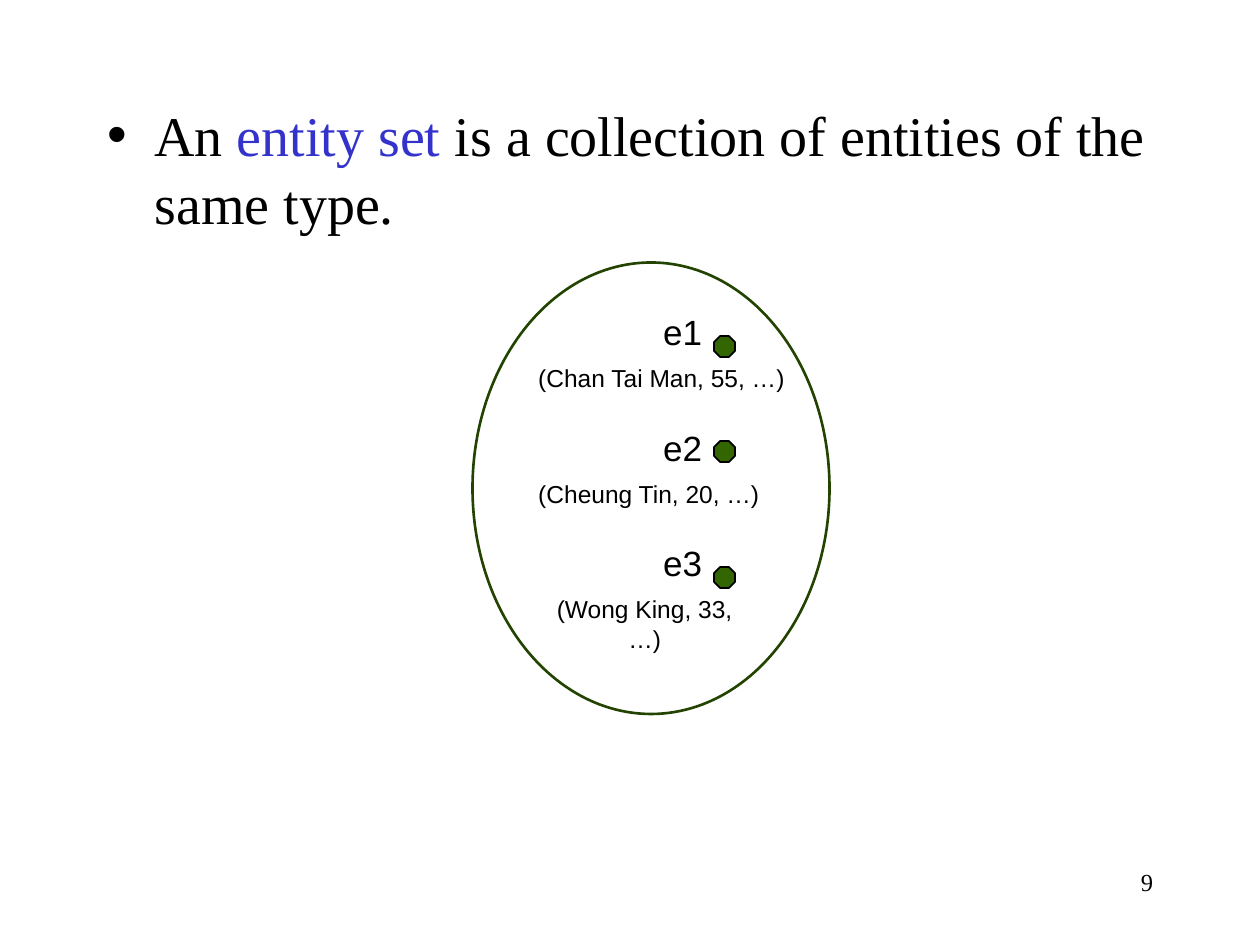
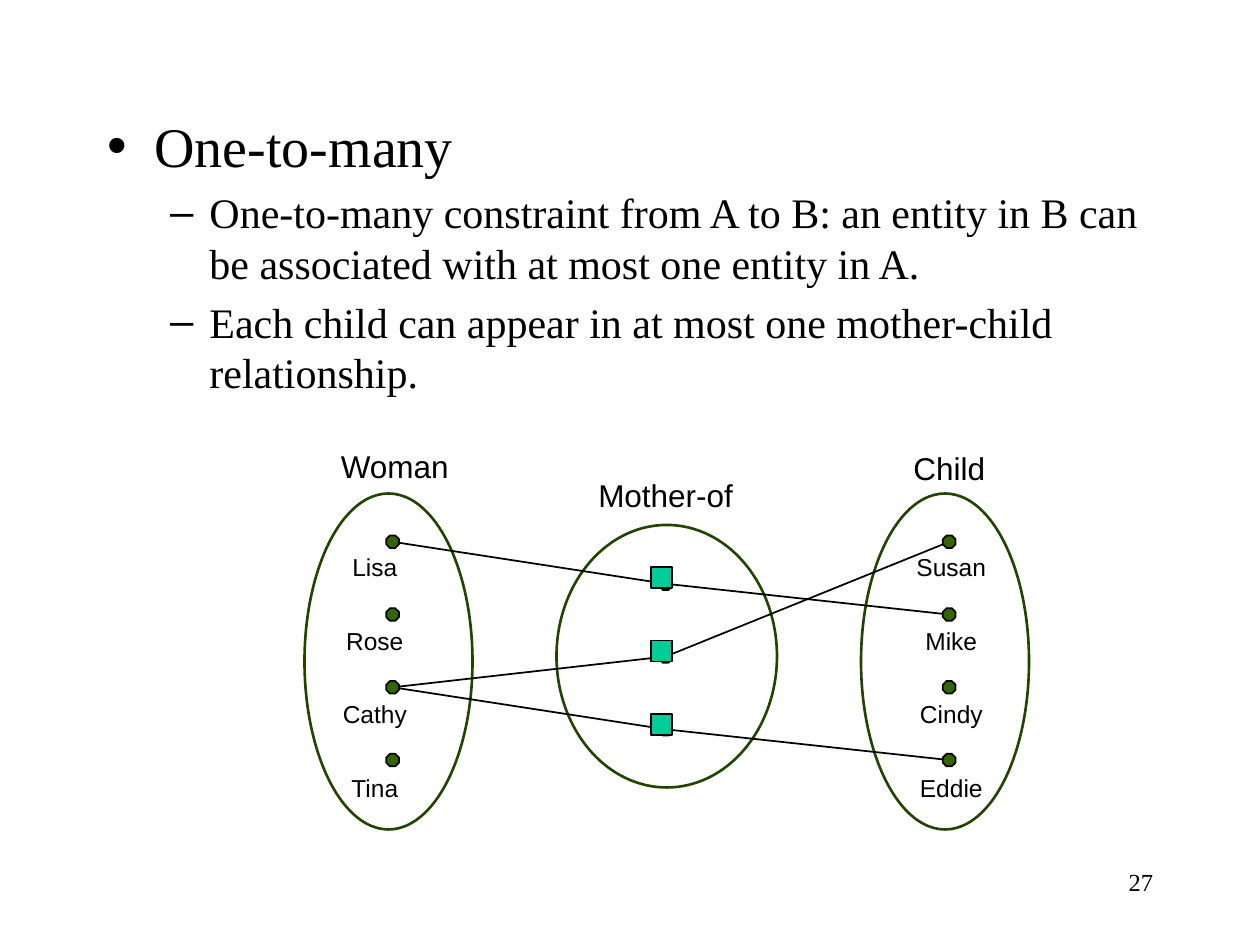
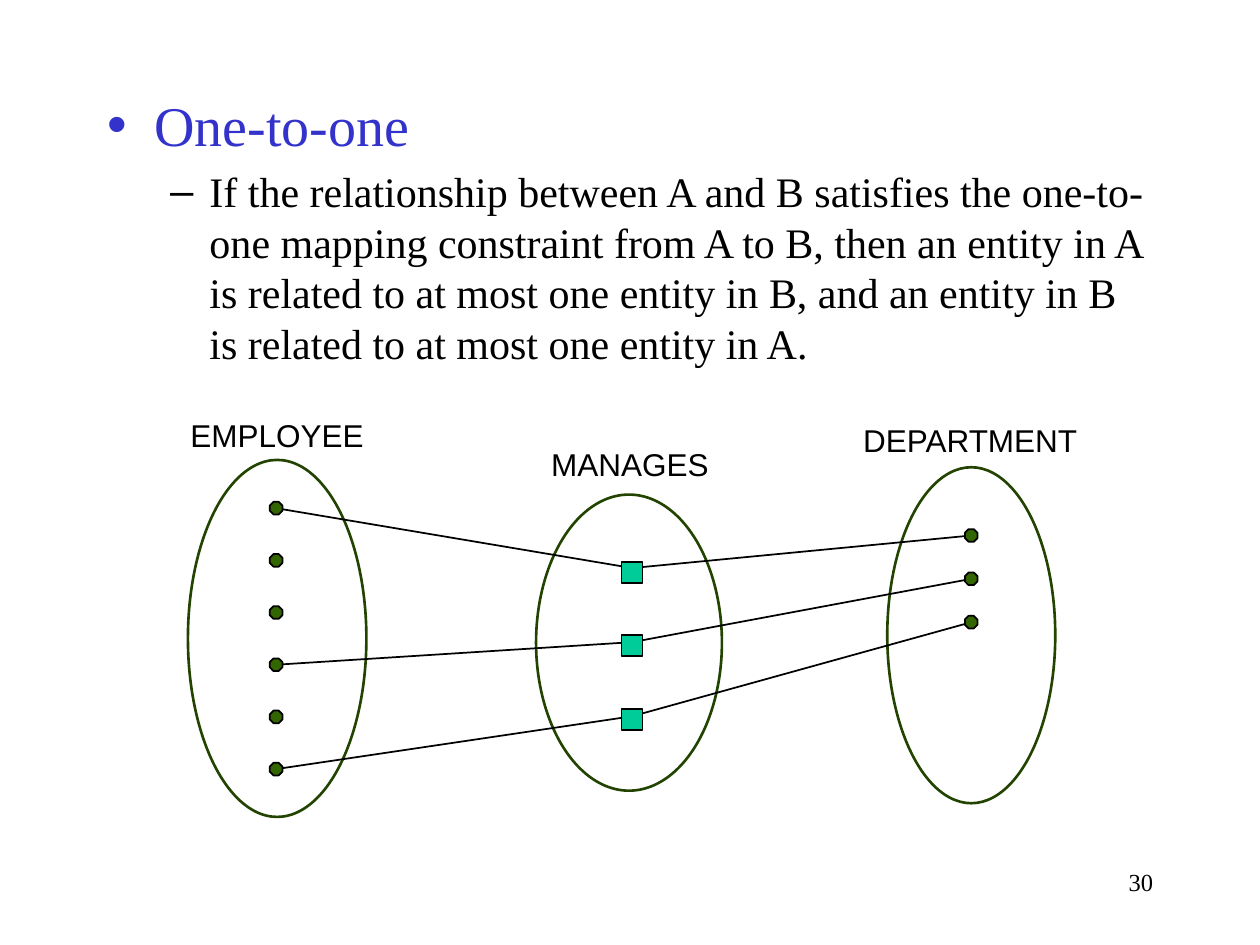
"""Build three slides on entity sets and mapping constraints, on a 120 by 90 grid."""
from lxml.etree import SubElement
from pptx import Presentation
from pptx.dml.color import RGBColor
from pptx.enum.shapes import MSO_CONNECTOR, MSO_SHAPE
from pptx.enum.text import MSO_AUTO_SIZE, PP_ALIGN
from pptx.oxml.ns import qn
from pptx.util import Inches, Pt

BLACK = RGBColor(0x00, 0x00, 0x00)
WHITE = RGBColor(0xFF, 0xFF, 0xFF)
BLUE = RGBColor(0x33, 0x33, 0xCC)
GREEN = RGBColor(0x33, 0x66, 0x00)
DARK = RGBColor(0x22, 0x44, 0x00)
TEAL = RGBColor(0x00, 0xCC, 0x99)

SANS, SERIF = "Arial", "Times New Roman"
HEAD = {"name": SANS, "size": Pt(18)}
NOTE = {"name": SANS, "size": Pt(14)}
LABEL = {"name": SANS, "size": Pt(20)}
FOOT = {"name": SERIF, "size": Pt(14)}
LEVELS = [{"name": SERIF, "size": Pt(32)}, {"name": SERIF, "size": Pt(24)}]

deck = Presentation()
deck.slide_width, deck.slide_height = Inches(10), Inches(7.5)
COL, ROW = deck.slide_width / 120, deck.slide_height / 90


def draw(slide, kind, mid, size, fill, edge=BLACK, width=1):
    """Draw a preset shape around its middle."""
    (x, y), (w, h) = mid, size
    shape = slide.shapes.add_shape(kind, int((x - w / 2) * COL), int((y - h / 2) * ROW),
                                   int(w * COL), int(h * ROW))
    shape.shadow.inherit = False
    if fill is None:
        shape.fill.background()
    else:
        shape.fill.solid()
        shape.fill.fore_color.rgb = fill
    shape.line.color.rgb = edge
    shape.line.width = Pt(width)


def write(slide, words, mid, top, size, style, align=PP_ALIGN.CENTER, wrap=False):
    """Write one line of text centred on a column."""
    w, h = size
    box = slide.shapes.add_textbox(int((mid - w / 2) * COL), int(top * ROW),
                                   int(w * COL), int(h * ROW))
    box.text_frame.word_wrap = wrap
    para = box.text_frame.paragraphs[0]
    para.alignment = align
    run = para.add_run()
    run.text = words
    run.font.color.rgb = BLACK
    for key, value in style.items():
        setattr(run.font, key, value)


PAGES = [
    ("9", 9, 71, [
        (0, [("An ", BLACK), ("entity set", BLUE),
             (" is a collection of entities of the same type.", BLACK)])]),
    ("27", 10, 70, [
        (0, [("One-to-many", BLACK)]),
        (1, [("One-to-many constraint from A to B: an entity in B can be "
              "associated with at most one entity in A.", BLACK)]),
        (1, [("Each child can appear in at most one mother-child relationship.", BLACK)])]),
    ("30", 8, 72, [
        (0, [("One-to-one", BLUE)]),
        (1, [("If the relationship between A and B satisfies the one-to-one mapping "
              "constraint from A to B, then an entity in A is related to at most one "
              "entity in B, and an entity in B is related to at most one entity in A.",
              BLACK)])]),
]

slides = []
for number, top, height, items in PAGES:
    slide = deck.slides.add_slide(deck.slide_layouts[1])
    slides.append(slide)
    title = slide.shapes.title.element
    title.getparent().remove(title)
    body = slide.placeholders[1]
    place = {"left": int(9 * COL), "top": int(top * ROW),
             "width": int(102 * COL), "height": int(height * ROW)}
    for key, value in place.items():
        setattr(body, key, value)
    frame = body.text_frame
    frame.auto_size = MSO_AUTO_SIZE.NONE
    for i, (level, runs) in enumerate(items):
        para = frame.add_paragraph() if i else frame.paragraphs[0]
        para.level = level
        for words, color in runs:
            run = para.add_run()
            run.text = words
            run.font.color.rgb = color
            for key, value in LEVELS[level].items():
                setattr(run.font, key, value)
    write(slide, number, 98.5, 82, (25, 6), FOOT, PP_ALIGN.RIGHT, True)

first = slides[0]
draw(first, MSO_SHAPE.OVAL, (62, 46.5), (34, 43), None, DARK, 1.5)
ENTRIES = [
    ("e1", 33, "(Chan Tai Man, 55, …)", 63, 26, False),
    ("e2", 43, "(Cheung Tin, 20, …)", 61.8, 23.5, False),
    ("e3", 55, "(Wong King, 33, …)", 61.4, 21.6, True),
]
for i, (name, y, words, mid, width, wrap) in enumerate(ENTRIES):
    top = 29 + 11 * i
    draw(first, MSO_SHAPE.OCTAGON, (69, y), (2, 2), GREEN)
    write(first, name, 65, top, (6.1, 5.2), LABEL)
    write(first, words, mid, top + 5, (width, 4), NOTE, wrap=wrap)

WOMEN = [("Lisa", 7.2), ("Rose", 8.6), ("Cathy", 9), ("Tina", 7.4)]
KIDS = [("Susan", 9.4), ("Mike", 7.8), ("Cindy", 8.8), ("Eddie", 8.8)]
MAPS = [
    {"slide": slides[1],
     "ovals": [((37, 63), (16, 32)), ((63.5, 62.5), (21, 25)), ((90, 63), (16, 32))],
     "heads": [("Woman", 37.6, 42, 12.8), ("Mother-of", 63.4, 44.7, 15.4),
               ("Child", 90.4, 42.2, 9.4)],
     "dots": [(37.4, 51.6, 6.93, 4), (63.4, 55.6, 6.93, 3), (90.4, 51.6, 6.93, 4)],
     "links": [(0, 0, 1), (2, 1, 0), (2, 2, 3)],
     "boxes": (63, 55), "shown": (0, 1, 2),
     "names": [(35.7, WOMEN), (90.6, KIDS)]},
    {"slide": slides[2],
     "ovals": [((26.4, 60.8), (17, 34)), ((59.9, 61.2), (17.7, 28.2)),
               ((92.5, 60.5), (16, 32))],
     "heads": [("EMPLOYEE", 26.4, 39, 19.2), ("MANAGES", 60, 41.8, 17.6),
               ("DEPARTMENT", 92.4, 39.5, 23.2)],
     "dots": [(26.3, 48.4, 4.97, 6), (60.2, 54.1, 7.06, 3), (92.5, 51, 4.13, 3)],
     "links": [(0, 0, 0), (3, 1, 1), (5, 2, 2)],
     "boxes": (60.2, 54.5), "shown": (0, 2),
     "names": []},
]

for plan in MAPS:
    slide = plan["slide"]
    for mid, size in plan["ovals"]:
        draw(slide, MSO_SHAPE.OVAL, mid, size, WHITE, DARK, 1.5)
    sets = [[(x, y + step * i) for i in range(count)] for x, y, step, count in plan["dots"]]
    for link in plan["links"]:
        ends = [dots[i] for dots, i in zip(sets, link)]
        for (ax, ay), (bx, by) in zip(ends, ends[1:]):
            line = slide.shapes.add_connector(MSO_CONNECTOR.STRAIGHT, int(ax * COL),
                                              int(ay * ROW), int(bx * COL), int(by * ROW))
            line.line.color.rgb = BLACK
            line.line.width = Pt(1)
            SubElement(line.element.spPr, qn("a:effectLst"))
    for i in plan["shown"]:
        for dot in sets[i]:
            draw(slide, MSO_SHAPE.OCTAGON, dot, (1.2, 1.2), GREEN)
    for words, mid, top, width in plan["heads"]:
        write(slide, words, mid, top, (width, 4.8), HEAD)
    for mid, names in plan["names"]:
        for i, (name, width) in enumerate(names):
            write(slide, name, mid, 52 + 7 * i, (width, 4), NOTE)
    x, y = plan["boxes"]
    for i in range(3):
        draw(slide, MSO_SHAPE.RECTANGLE, (x, y + 7 * i), (2, 2), TEAL)

deck.save("out.pptx")
